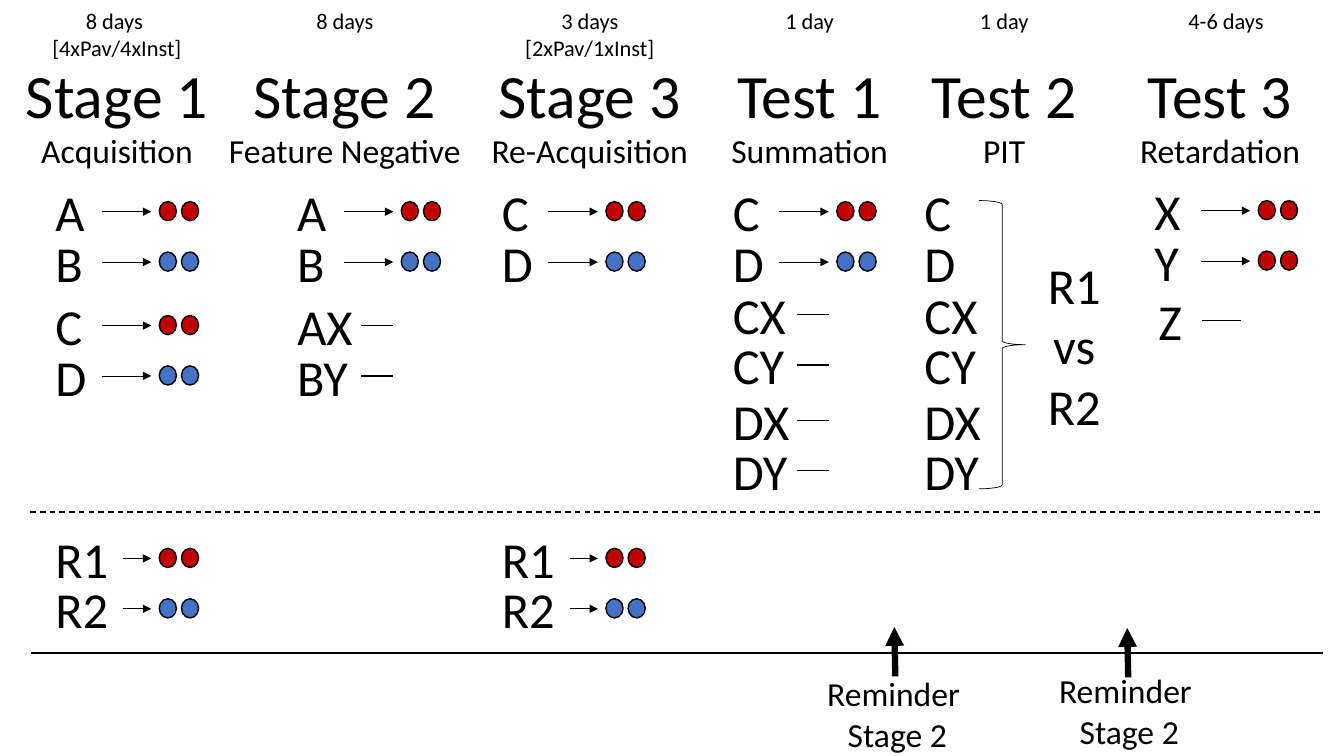
from dataclasses import dataclass

from lxml import etree
from pptx import Presentation
from pptx.dml.color import RGBColor
from pptx.enum.dml import MSO_LINE
from pptx.enum.shapes import MSO_CONNECTOR, MSO_SHAPE
from pptx.enum.text import MSO_AUTO_SIZE, PP_ALIGN
from pptx.oxml.ns import qn
from pptx.util import Inches, Pt

STRAIGHT = MSO_CONNECTOR.STRAIGHT
OVAL, BRACE = MSO_SHAPE.OVAL, MSO_SHAPE.RIGHT_BRACE
DASH = MSO_LINE.DASH
FIT_TEXT = MSO_AUTO_SIZE.SHAPE_TO_FIT_TEXT
LEFT, CENTER = PP_ALIGN.LEFT, PP_ALIGN.CENTER


@dataclass(frozen=True)
class Theme:
    """Colours, font, type sizes and line widths."""
    ink: RGBColor = RGBColor(0, 0, 0)
    red: RGBColor = RGBColor(0xC0, 0, 0)
    blue: RGBColor = RGBColor(0x44, 0x72, 0xC4)
    font: str = "Calibri"
    title: int = 44
    cue: int = 36
    subtitle: int = 24
    days: int = 16
    thin: float = 0.5
    rule: float = 1
    heavy: float = 4.5


@dataclass(frozen=True)
class Phase:
    """One column: cue edge, heading centre and (text, width) headings."""
    left: float
    center: float
    days: tuple
    title: tuple
    subtitle: tuple
    cues: tuple
    days_shift: float = 0


THEME = Theme()
RED, BLUE = THEME.red, THEME.blue

# Row tops in inches; each block's second row is one ROW_STEP lower.
ROW_STEP = 0.5
TOP, MIDDLE, UPPER, LOWER, RESPONSE = 1.75, 2.88, 2.77, 3.82, 5.19

# Offsets from the left edge and top of a cue.
MARK_Y, DASH_START, MARK_END = 0.35, 0.73, 1.05
DOT_START, DOT_STEP, DOT_TOP = 1.13, 0.22, 0.25
DOT_WIDTH, DOT_HEIGHT = 0.17, 0.19
CUE_WIDTHS = {"X": 0.88, "Y": 0.8, "1": 0.77, "2": 0.77}
SINGLE_WIDTH, SINGLE_ARROW = 0.64, 0.56

# A block is (row top, two cues, two reward colours; none means a dash).
REWARDS, NOTHING = (RED, BLUE), (None, None)
RESPONSES = (RESPONSE, ("R1", "R2"), REWARDS)
PHASES = (
    Phase(0.45, 1.16, ("8 days \n[4xPav/4xInst]", 1.5), ("Stage 1", 2.03),
          ("Acquisition", 1.72),
          ((TOP, "AB", REWARDS), (MIDDLE, "CD", REWARDS), RESPONSES)),
    Phase(2.85, 3.42, ("8 days", 0.77), ("Stage 2", 2.03),
          ("Feature Negative", 2.53),
          ((TOP, "AB", REWARDS), (MIDDLE, ("AX", "BY"), NOTHING))),
    Phase(4.88, 5.85, ("3 days", 1.5), ("Stage 3", 2.03),
          ("Re-Acquisition", 2.17), ((TOP, "CD", REWARDS), RESPONSES)),
    Phase(7.17, 8.03, ("1 day", 0.69), ("Test 1", 1.65), ("Summation", 1.77),
          ((TOP, "CD", REWARDS), (UPPER, ("CX", "CY"), NOTHING),
           (LOWER, ("DX", "DY"), NOTHING))),
    Phase(9.07, 9.96, ("1 day", 0.69), ("Test 2", 1.65), ("PIT", 0.62),
          ((TOP, "CD", ()), (UPPER, ("CX", "CY"), ()),
           (LOWER, ("DX", "DY"), ()))),
    Phase(11.35, 12.1, ("4-6 days", 0.96), ("Test 3", 1.65),
          ("Retardation", 1.81), ((TOP - 0.01, "XY", (RED, RED)),), 0.06),
)
# The third phase's schedule fills a second line.
SCHEDULES = {"Stage 3": "\n[2xPav/1xInst]"}


def add_text(slide, text, left, top, width, height, size, align=LEFT, wrap=True):
    """Add a text box whose lines share one style."""
    box = slide.shapes.add_textbox(*map(Inches, (left, top, width, height)))
    frame = box.text_frame
    frame.word_wrap = wrap
    frame.auto_size = FIT_TEXT
    frame.text = text
    for paragraph in frame.paragraphs:
        paragraph.alignment = align
        paragraph.font.name = THEME.font
        paragraph.font.size = Pt(size)
        paragraph.font.color.rgb = THEME.ink


def add_centered(slide, text, center, top, width, height, size):
    """Add unwrapped text centred on a horizontal position."""
    add_text(slide, text, center - width / 2, top, width, height, size,
             CENTER, False)


def add_line(slide, start, end, width, arrow=False, dash=None):
    """Add a straight line, optionally dashed or with an arrowhead."""
    line = slide.shapes.add_connector(STRAIGHT, *map(Inches, start + end))
    line.line.color.rgb = THEME.ink
    line.line.width = Pt(width)
    if dash:
        line.line.dash_style = dash
    properties = line._element.spPr
    if arrow:
        outline = properties.find(qn("a:ln"))
        etree.SubElement(outline, qn("a:tailEnd"), type="triangle")
    etree.SubElement(properties, qn("a:effectLst"))


def add_outline(slide, kind, left, top, width, height, weight, fill=None):
    """Add a preset shape with a dark outline and an optional fill."""
    shape = slide.shapes.add_shape(kind, *map(Inches, (left, top, width, height)))
    shape.shadow.inherit = False
    shape.line.color.rgb = THEME.ink
    shape.line.width = Pt(weight)
    if fill is None:
        shape.fill.background()
    else:
        shape.fill.solid()
        shape.fill.fore_color.rgb = fill


def add_cue(slide, text, left, top):
    """Add a cue label and return its width."""
    width = SINGLE_WIDTH if len(text) == 1 else CUE_WIDTHS[text[-1]]
    add_text(slide, text, left, top, width, 0.71, THEME.cue)
    return width


def add_outcome(slide, left, top, start, color):
    """Add an arrow to a pair of rewards, or a dash when there is none."""
    y = top + MARK_Y
    end = (left + MARK_END, y)
    if color is None:
        add_line(slide, (left + DASH_START, y), end, THEME.rule)
        return
    add_line(slide, (left + start, y), end, THEME.thin, arrow=True)
    for index in range(2):
        add_outline(slide, OVAL, left + DOT_START + index * DOT_STEP,
                    top + DOT_TOP, DOT_WIDTH, DOT_HEIGHT, THEME.rule, color)


def add_block(slide, left, top, cues, colors):
    """Add two cue rows and any outcomes beside them."""
    for index, cue in enumerate(cues):
        row = top + index * ROW_STEP
        width = add_cue(slide, cue, left, row)
        if colors:
            start = SINGLE_ARROW if len(cue) == 1 else width
            add_outcome(slide, left, row, start, colors[index])


def add_phase(slide, phase):
    """Add one column's headings and cue blocks."""
    days, days_width = phase.days
    days += SCHEDULES.get(phase.title[0], "")
    add_centered(slide, days, phase.center + phase.days_shift, 0.02, days_width,
                 0.64 if "\n" in days else 0.37, THEME.days)
    title, title_width = phase.title
    add_centered(slide, title, phase.center, 0.52, title_width, 0.84, THEME.title)
    subtitle, subtitle_width = phase.subtitle
    add_centered(slide, subtitle, phase.center, 1.24, subtitle_width, 0.5,
                 THEME.subtitle)
    for top, cues, colors in phase.cues:
        add_block(slide, phase.left, top, cues, colors)


def add_reminder(slide, center, top, arrow_x, arrow_y):
    """Add a reminder caption and its heavy upward arrow."""
    add_centered(slide, "Reminder \nStage 2", center, top, 1.61, 0.91,
                 THEME.subtitle)
    add_line(slide, (arrow_x, arrow_y), (arrow_x - 0.01, arrow_y - 0.49),
             THEME.heavy, arrow=True)


def main():
    """Build the experiment design slide."""
    presentation = Presentation()
    presentation.slide_width = Inches(13.33)
    presentation.slide_height = Inches(7.5)
    slide = presentation.slides.add_slide(presentation.slide_layouts[6])
    for phase in PHASES:
        add_phase(slide, phase)
    add_cue(slide, "Z", 11.39, 2.83)
    add_line(slide, (11.92, 3.18), (12.31, 3.18), THEME.rule)
    add_text(slide, "R1 vs R2", 10.27, 2.47, 0.77, 1.92, THEME.cue, CENTER)
    add_outline(slide, BRACE, 9.71, 1.99, 0.46, 2.86, THEME.thin)
    add_line(slide, (0.3, 5.08), (13.11, 5.08), THEME.rule, dash=DASH)
    add_line(slide, (0.31, 6.48), (13.12, 6.48), THEME.rule)
    add_reminder(slide, 8.9, 6.63, 8.88, 6.71)
    add_reminder(slide, 11.2, 6.6, 11.19, 6.72)
    presentation.save("out.pptx")


main()
